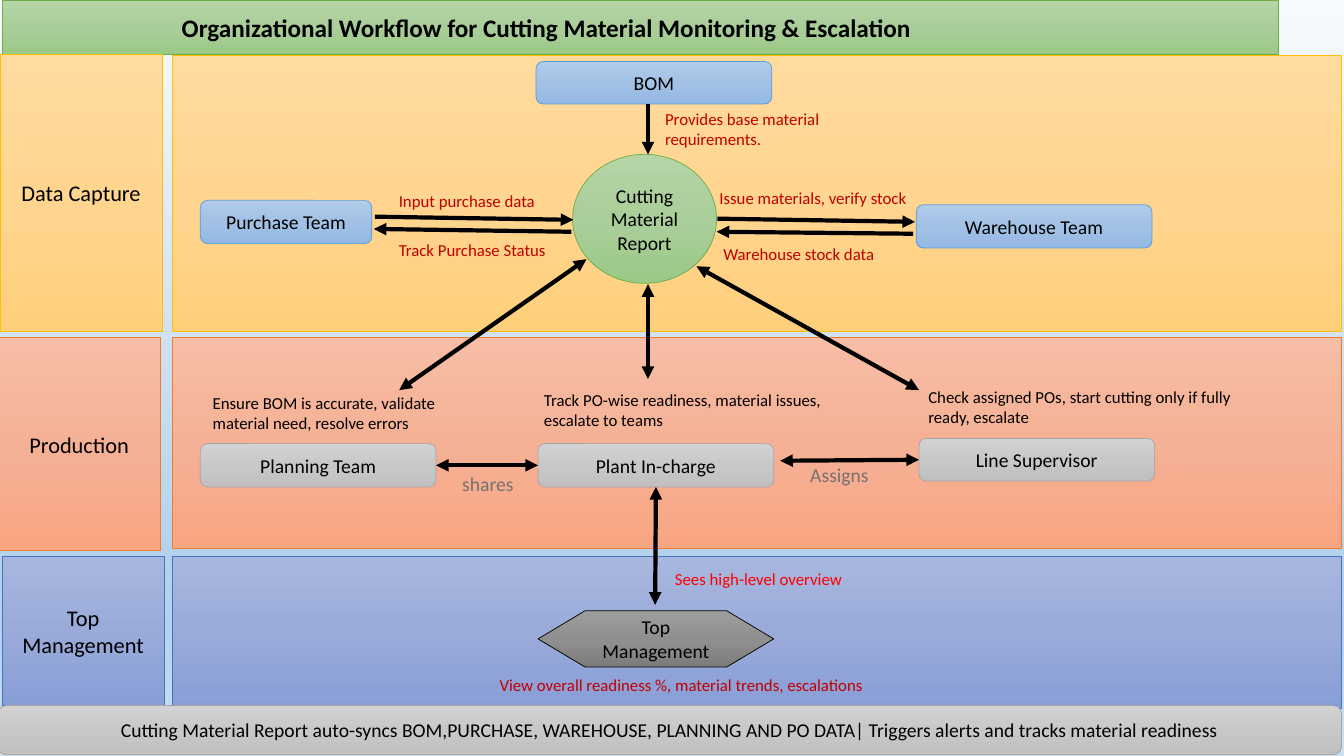
"""Build the cutting material workflow slide with its lanes, teams and arrows."""

from typing import NamedTuple, Optional

from lxml.etree import SubElement
from pptx import Presentation
from pptx.dml.color import RGBColor
from pptx.enum.shapes import MSO_CONNECTOR, MSO_SHAPE
from pptx.enum.text import MSO_ANCHOR, MSO_AUTO_SIZE, PP_ALIGN
from pptx.oxml.ns import qn
from pptx.util import Cm, Pt

COLOURS = {
    "black": "000000",
    "dark red": "C00000",
    "red": "FF0000",
    "grey": "767171",
    "gold line": "FFC000",
    "green line": "70AD47",
    "orange line": "ED7D31",
    "indigo line": "4472C4",
    "blue line": "5B9BD5",
    "silver line": "A5A5A5",
    "charcoal line": "000000",
}
GRADIENTS = {
    "sky": {0: "F7FAFD", 74: "B5D2EC", 83: "B5D2EC", 100: "CEE1F2"},
    "gold": {0: "FFDB9E", 50: "FFD590", 100: "FFD07C"},
    "green": {0: "B5D5A7", 50: "AACE9A", 100: "9CC987"},
    "orange": {0: "F7BDA5", 50: "F5B196", 100: "F8A582"},
    "indigo": {0: "A8B7DF", 50: "9AABD9", 100: "889ED7"},
    "blue": {0: "B1CBE9", 50: "A3C1E5", 100: "93B9E4"},
    "silver": {0: "D2D2D2", 50: "C8C8C8", 100: "C0C0C0"},
    "charcoal": {0: "9D9D9D", 50: "909090", 100: "7C7C7C"},
}
FONT = "Calibri"
LANE_LEFT, LANE_WIDTH, LABEL_WIDTH = 4.34, 29.46, 4.09
TEAM_WIDTH = 5.94


class Block(NamedTuple):
    palette: str
    left: float
    top: float
    width: float
    height: float
    text: str = ""
    size: int = 14
    outline: MSO_SHAPE = MSO_SHAPE.ROUNDED_RECTANGLE


class Note(NamedTuple):
    text: str
    left: float
    top: float
    width: float
    height: float = 0.76
    colour: str = "dark red"
    size: int = 12
    wrap: bool = True


class Arrow(NamedTuple):
    begin: tuple[float, float]
    end: tuple[float, float]
    two_way: bool = True
    begin_join: Optional[tuple[str, int]] = None
    end_join: Optional[tuple[str, int]] = None


RECTANGLE = MSO_SHAPE.RECTANGLE
BLOCKS = [
    Block("gold", 0, 1.37, LABEL_WIDTH, 6.99, "Data Capture", 16, RECTANGLE),
    Block("orange", -0.05, 8.51, LABEL_WIDTH, 5.36, "Production", 16, RECTANGLE),
    Block("indigo", 0.05, 14.02, LABEL_WIDTH, 3.76, "Top\nManagement", 16, RECTANGLE),
    Block("gold", LANE_LEFT, 1.4, LANE_WIDTH, 6.96, outline=RECTANGLE),
    Block("orange", LANE_LEFT, 8.51, LANE_WIDTH, 5.31, outline=RECTANGLE),
    Block("indigo", LANE_LEFT, 14.02, LANE_WIDTH, 3.84, outline=RECTANGLE),
    Block("green", 14.43, 3.89, 3.63, 3.25, "Cutting Material Report", outline=MSO_SHAPE.OVAL),
    Block("blue", 5.05, 5.05, 4.32, 1.09, "Purchase Team"),
    Block("blue", 23.09, 5.16, TEAM_WIDTH, 1.09, "Warehouse Team"),
    Block("blue", 13.51, 1.55, TEAM_WIDTH, 1.07, "BOM"),
    Block("silver", 5.05, 11.18, TEAM_WIDTH, 1.09, "Planning Team"),
    Block("silver", 13.56, 11.18, TEAM_WIDTH, 1.09, "Plant In-charge"),
    Block("silver", 23.16, 11.05, TEAM_WIDTH, 1.07, "Line Supervisor"),
    Block("charcoal", 13.56, 15.39, TEAM_WIDTH, 1.42, "Top Management",
          outline=MSO_SHAPE.FLOWCHART_PREPARATION),
    Block("silver", -0.05, 17.78, 33.86, 1.24,
          "Cutting Material Report auto-syncs BOM,PURCHASE, WAREHOUSE, PLANNING AND PO DATA| "
          "Triggers alerts and tracks material readiness"),
]
NOTES = [
    Note("Provides base material requirements.", 16.51, 2.62, 4.83, 1.27),
    Note("Input purchase data", 9.8, 4.67, 3.96, wrap=False),
    Note("Track Purchase Status", 9.8, 5.92, 4.55),
    Note("Issue materials, verify stock", 17.88, 4.6, 5.28, wrap=False),
    Note("Warehouse stock data", 17.98, 6.02, 4.37, wrap=False),
    Note("Ensure BOM is accurate, validate material need, resolve errors",
         5.11, 9.78, 6.76, 1.27, "black"),
    Note("Track PO-wise readiness, material issues, escalate to teams",
         13.46, 9.7, 7.67, 1.27, "black"),
    Note("shares", 11.4, 11.76, 1.83, 0.86, "grey", 14, False),
    Note("Assigns", 20.17, 11.53, 2.01, 0.86, "grey", 14, False),
    Note("Sees high-level overview", 16.76, 14.2, 7.26, colour="red"),
    Note("View overall readiness %, material trends, escalations", 12.34, 16.89, 11.1),
]
SUPERVISOR_NOTE = Note("Check assigned POs, start cutting only if fully ready, escalate",
                       23.14, 9.63, 8.2, 1.22, "black")
ARROWS = [
    Arrow((16.33, 2.62), (16.33, 3.89), two_way=False),
    Arrow((9.45, 5.46), (14.45, 5.54), two_way=False),
    Arrow((14.4, 5.84), (9.42, 5.77), two_way=False),
    Arrow((18.08, 5.51), (23.06, 5.59), two_way=False),
    Arrow((23.01, 5.89), (18.06, 5.84), two_way=False),
    Arrow((14.78, 6.53), (10.06, 9.83)),
    Arrow((16.33, 7.16), (16.33, 9.55)),
    Arrow((17.55, 6.71), (23.16, 9.83)),
    Arrow((11.07, 11.71), (13.51, 11.71),
          begin_join=("Planning Team", 3), end_join=("Plant In-charge", 1)),
    Arrow((19.66, 11.61), (23.09, 11.58), end_join=("Line Supervisor", 1)),
    Arrow((16.48, 12.32), (16.51, 15.24), begin_join=("Plant In-charge", 2)),
]


def paint(fill, holder, palette: str) -> None:
    fill.gradient()
    fill.gradient_angle = 270
    stops = next(holder.iter(qn("a:gsLst")))
    for stop in list(stops):
        stops.remove(stop)
    for position, colour in GRADIENTS[palette].items():
        stop = SubElement(stops, qn("a:gs"), pos=str(position * 1000))
        SubElement(stop, qn("a:srgbClr"), val=colour)


def outline_block(shape, palette: str) -> None:
    paint(shape.fill, shape._element, palette)
    shape.line.color.rgb = RGBColor.from_string(COLOURS[f"{palette} line"])
    shape.line.width = Pt(0.5)


def write(frame, text: str, size: int, colour: str = "black",
          align: PP_ALIGN = PP_ALIGN.LEFT, bold: bool = False) -> None:
    frame.text = text
    for paragraph in frame.paragraphs:
        paragraph.alignment = align
        paragraph.font.name = FONT
        paragraph.font.size = Pt(size)
        paragraph.font.bold = bold
        paragraph.font.color.rgb = RGBColor.from_string(COLOURS[colour])


def add_title(page) -> None:
    title = page.shapes.title
    title.left, title.top, title.width, title.height = Cm(0.05), Cm(0), Cm(32.16), Cm(1.37)
    outline_block(title, "green")
    frame = title.text_frame
    frame.word_wrap = True
    frame.auto_size = MSO_AUTO_SIZE.NONE
    frame.vertical_anchor = MSO_ANCHOR.MIDDLE
    frame.margin_left = Cm(4.53)
    write(frame, "Organizational Workflow for Cutting Material Monitoring & Escalation", 18, bold=True)


def add_block(page, block: Block):
    shape = page.shapes.add_shape(block.outline, Cm(block.left), Cm(block.top),
                                  Cm(block.width), Cm(block.height))
    shape.shadow.inherit = False
    outline_block(shape, block.palette)
    if block.text:
        shape.text_frame.vertical_anchor = MSO_ANCHOR.MIDDLE
        write(shape.text_frame, block.text, block.size, align=PP_ALIGN.CENTER)
    return shape


def add_note(page, note: Note) -> None:
    box = page.shapes.add_textbox(Cm(note.left), Cm(note.top), Cm(note.width), Cm(note.height))
    box.text_frame.word_wrap = note.wrap
    box.text_frame.auto_size = MSO_AUTO_SIZE.SHAPE_TO_FIT_TEXT
    write(box.text_frame, note.text, note.size, note.colour)


def add_table_note(page, note: Note) -> None:
    table = page.shapes.add_table(1, 1, Cm(note.left), Cm(note.top),
                                  Cm(note.width), Cm(note.height)).table
    table.first_row = table.horz_banding = False
    cell = table.cell(0, 0)
    cell.vertical_anchor = MSO_ANCHOR.MIDDLE
    write(cell.text_frame, note.text, note.size, note.colour)
    for side in ("a:lnL", "a:lnR", "a:lnT", "a:lnB"):
        SubElement(SubElement(cell._tc.get_or_add_tcPr(), qn(side)), qn("a:noFill"))
    cell.fill.background()


def add_arrow(page, arrow: Arrow, teams: dict) -> None:
    connector = page.shapes.add_connector(
        MSO_CONNECTOR.STRAIGHT, *(Cm(value) for value in arrow.begin + arrow.end))
    for join, connect in ((arrow.begin_join, connector.begin_connect),
                          (arrow.end_join, connector.end_connect)):
        if join:
            connect(teams[join[0]], join[1])
    connector.line.color.rgb = RGBColor.from_string(COLOURS["black"])
    connector.line.width = Pt(3)
    line = connector.line._get_or_add_ln()
    for tip in ("a:headEnd", "a:tailEnd") if arrow.two_way else ("a:tailEnd",):
        SubElement(line, qn(tip), type="triangle")
    SubElement(connector._element.spPr, qn("a:effectLst"))


def main() -> None:
    deck = Presentation()
    deck.slide_width, deck.slide_height = Cm(33.87), Cm(19.05)
    page = deck.slides.add_slide(deck.slide_layouts[5])
    paint(page.background.fill, page._element, "sky")
    add_title(page)
    teams = {block.text: add_block(page, block) for block in BLOCKS}
    for arrow in ARROWS:
        add_arrow(page, arrow, teams)
    for note in NOTES:
        add_note(page, note)
    add_table_note(page, SUPERVISOR_NOTE)
    deck.save("out.pptx")


if __name__ == "__main__":
    main()
